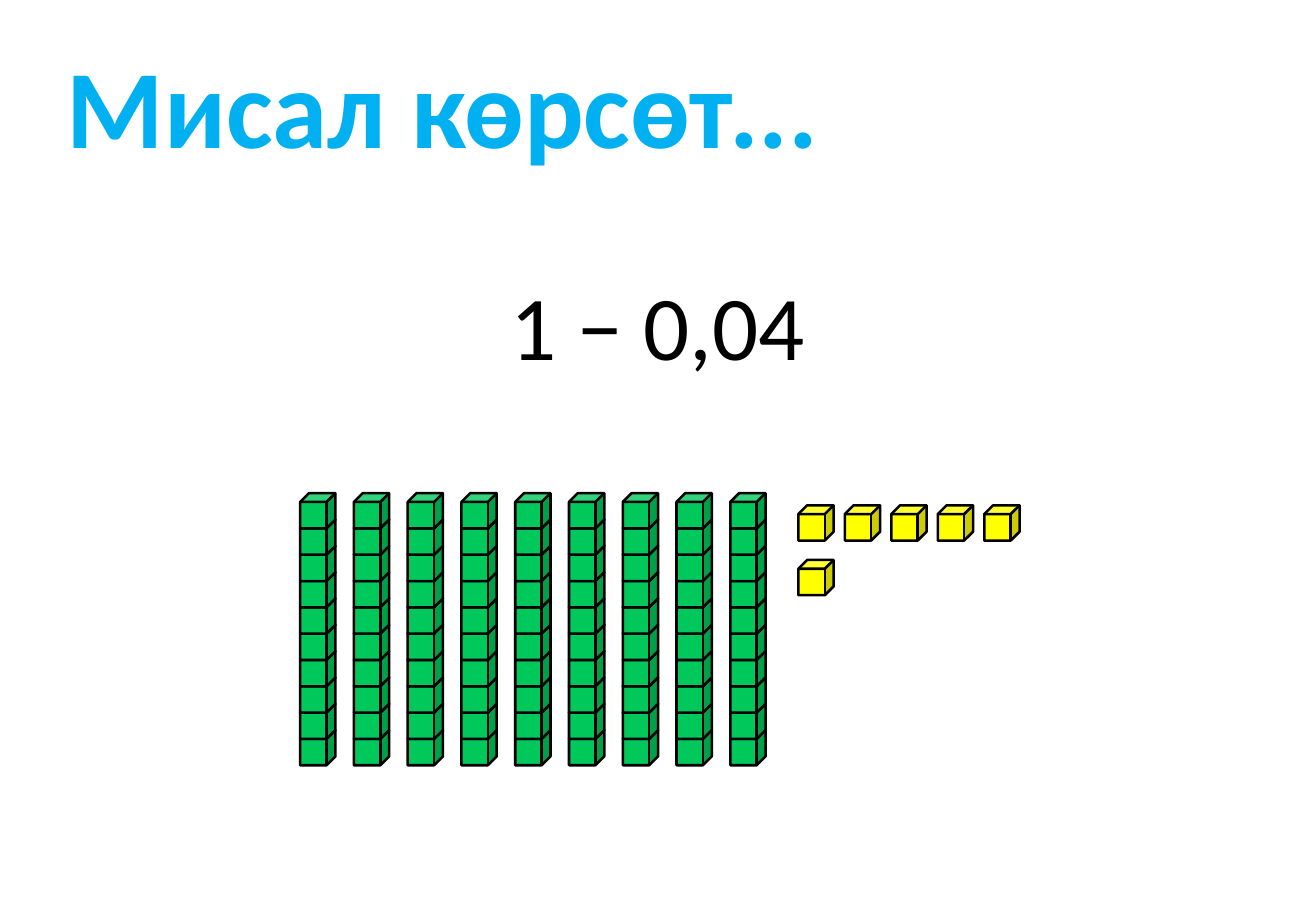
from dataclasses import dataclass

from pptx import Presentation
from pptx.dml.color import RGBColor
from pptx.enum.shapes import MSO_SHAPE
from pptx.enum.text import MSO_AUTO_SIZE, PP_ALIGN
from pptx.slide import Slide
from pptx.util import Inches, Pt

CUBE = MSO_SHAPE.CUBE
FIT_SHAPE = MSO_AUTO_SIZE.SHAPE_TO_FIT_TEXT
LEFT, CENTER = PP_ALIGN.LEFT, PP_ALIGN.CENTER


@dataclass(frozen=True)
class Theme:
    font: str = "Calibri"
    title: RGBColor = RGBColor(0x00, 0xB0, 0xF0)
    ink: RGBColor = RGBColor(0x00, 0x00, 0x00)
    tenth: RGBColor = RGBColor(0x00, 0xC8, 0x5A)
    hundredth: RGBColor = RGBColor(0xFF, 0xFF, 0x00)
    title_size: int = 66
    sum_size: int = 54
    outline: float = 1.5


@dataclass(frozen=True)
class Label:
    text: str
    left: float
    top: float
    width: float
    height: float
    size: int
    color: RGBColor
    bold: bool = False
    wrap: bool = True
    align: PP_ALIGN = LEFT
    indent: float = 0.1


@dataclass(frozen=True)
class CubeBlock:
    """A grid of cubes; each column is filled from the bottom up."""
    left: float
    bottom: float
    columns: int
    rows: int
    column_step: float
    color: RGBColor


THEME = Theme()
CUBE_SIZE = 0.29
ROD_CUBES = 10
ROD_STEP = (6.01 - 4.06) / (ROD_CUBES - 1)
UNIT_STEP = (8.1 - 6.57) / 4

LABELS = [
    Label("1 − 0,04", 4.09, 2.17, 2.65, 1.01, THEME.sum_size, THEME.ink,
          wrap=False, align=CENTER),
    Label("Мисал көрсөт...", 0.24, 0.26, 7.54, 1.21, THEME.title_size,
          THEME.title, bold=True, indent=0.31),
]
BLOCKS = [
    CubeBlock(2.47, 6.01, 9, ROD_CUBES, (6.01 - 2.47) / 8, THEME.tenth),
    CubeBlock(6.57, 4.16, 5, 1, UNIT_STEP, THEME.hundredth),
    CubeBlock(6.57, 4.61, 1, 1, UNIT_STEP, THEME.hundredth),
]


def add_label(s: Slide, label: Label) -> None:
    box = s.shapes.add_textbox(Inches(label.left), Inches(label.top),
                               Inches(label.width), Inches(label.height))
    tf = box.text_frame
    tf.word_wrap = label.wrap
    tf.auto_size = FIT_SHAPE
    tf.margin_left = Inches(label.indent)
    p = tf.paragraphs[0]
    p.alignment = label.align
    r = p.add_run()
    r.text = label.text
    r.font.name = THEME.font
    r.font.size = Pt(label.size)
    r.font.bold = label.bold
    r.font.color.rgb = label.color


def add_block(s: Slide, block: CubeBlock) -> None:
    for column in range(block.columns):
        rod = s.shapes.add_group_shape()
        left = block.left + column * block.column_step
        for row in range(block.rows):
            top = block.bottom - row * ROD_STEP
            sp = rod.shapes.add_shape(CUBE, Inches(left), Inches(top),
                                      Inches(CUBE_SIZE), Inches(CUBE_SIZE))
            sp.shadow.inherit = False
            sp.fill.solid()
            sp.fill.fore_color.rgb = block.color
            sp.line.color.rgb = THEME.ink
            sp.line.width = Pt(THEME.outline)


def main() -> None:
    prs = Presentation()
    prs.slide_width, prs.slide_height = Inches(10.83), Inches(7.5)
    s = prs.slides.add_slide(prs.slide_layouts[6])
    for block in BLOCKS:
        add_block(s, block)
    for label in LABELS:
        add_label(s, label)
    prs.save("out.pptx")


if __name__ == "__main__":
    main()
